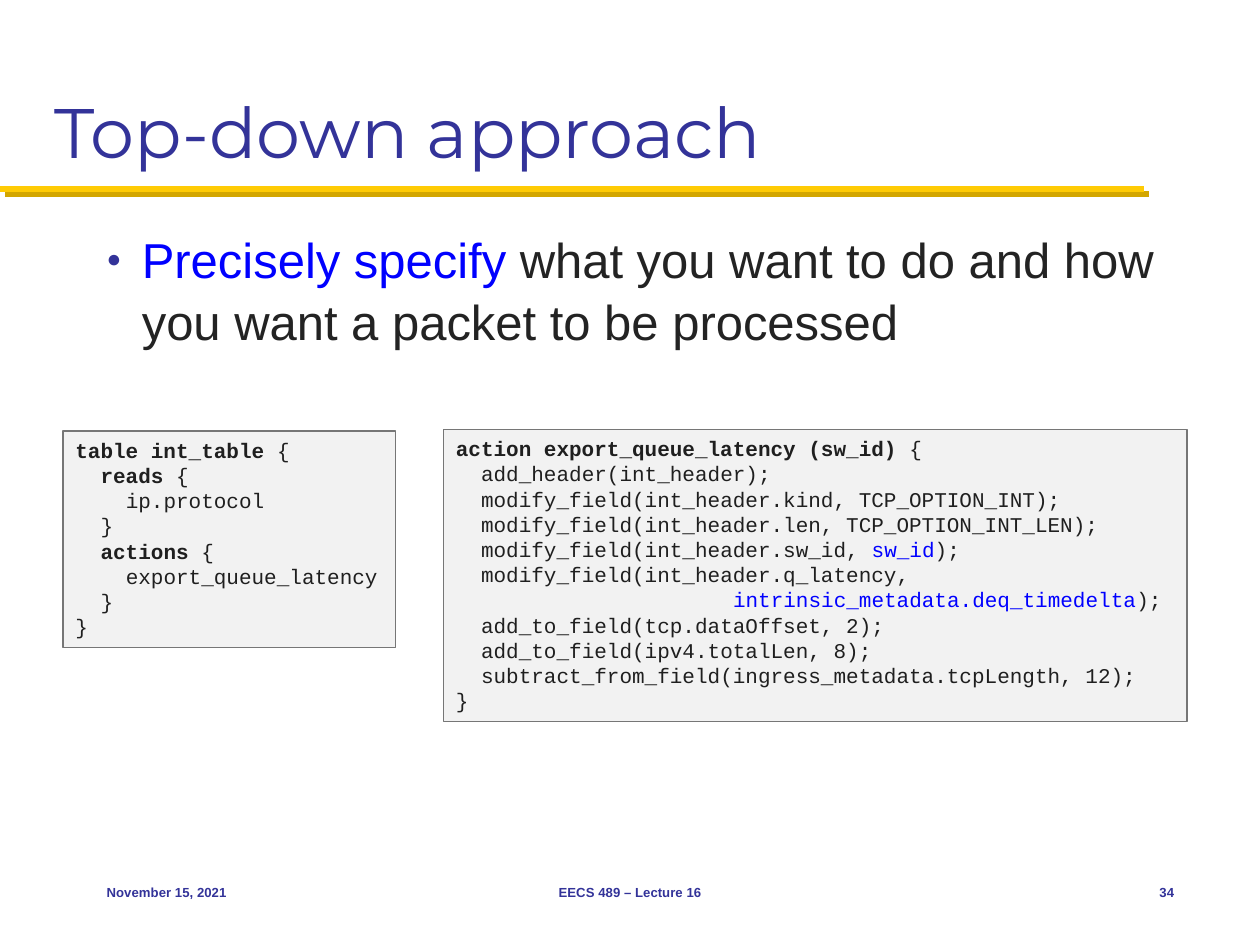
"""Build the slide on the top-down approach with its two code listings."""
from lxml.etree import SubElement
from pptx import Presentation
from pptx.dml.color import RGBColor
from pptx.enum.shapes import MSO_CONNECTOR, MSO_SHAPE
from pptx.enum.text import MSO_ANCHOR, PP_ALIGN
from pptx.oxml.ns import qn
from pptx.util import Cm, Pt

COLORS = {
    "navy": "333399", "blue": "0000FF", "body": "232323", "code": "1F1F1F",
    "panel": "F2F2F2", "border": "767676", "gold": "FFCB05", "shade": "D3A600",
}
PLAIN, BOLD, BLUE = {}, {"bold": True}, {"color": "blue"}
TITLE = [(0, [("Top-down approach", PLAIN)])]
STATEMENT = [(0, [
    ("Precisely specify", BLUE),
    (" what you want to do and how you want a packet to be processed", PLAIN),
])]
FOOTERS = [
    ("November 15, 2021", 1.9, 5.29, PP_ALIGN.LEFT),
    ("EECS 489 – Lecture 16", 8.68, 8.04, PP_ALIGN.CENTER),
    ("34", 22.22, 1.7, PP_ALIGN.RIGHT),
]
TABLE_CODE = [
    (0, [("table int_table ", BOLD), ("{", PLAIN)]),
    (1, [("reads", BOLD), (" {", PLAIN)]),
    (2, [("ip.protocol", PLAIN)]),
    (1, [("}", PLAIN)]),
    (1, [("actions", BOLD), (" {", PLAIN)]),
    (2, [("export_queue_latency", PLAIN)]),
    (1, [("}", PLAIN)]),
    (0, [("}", PLAIN)]),
]
ACTION_CODE = [
    (0, [("action export_queue_latency (sw_id) ", BOLD), ("{", PLAIN)]),
    (1, [("add_header(int_header);", PLAIN)]),
    (1, [("modify_field(int_header.kind, TCP_OPTION_INT);", PLAIN)]),
    (1, [("modify_field(int_header.len, TCP_OPTION_INT_LEN);", PLAIN)]),
    (1, [("modify_field(int_header.sw_id, ", PLAIN), ("sw_id", BLUE), (");", PLAIN)]),
    (1, [("modify_field(int_header.q_latency,", PLAIN)]),
    (11, [("intrinsic_metadata.deq_timedelta", BLUE), (");", PLAIN)]),
    (1, [("add_to_field(tcp.dataOffset, 2);", PLAIN)]),
    (1, [("add_to_field(ipv4.totalLen, 8);", PLAIN)]),
    (1, [("subtract_from_field(ingress_metadata.tcpLength, 12);", PLAIN)]),
    (0, [("}", PLAIN)]),
]
LISTINGS = [
    (TABLE_CODE, (1.27, 8.69, 6.71, 4.37)),
    (ACTION_CODE, (8.94, 8.66, 14.99, 5.89)),
]
INDENT_STEP = Pt(14.4)


def rgb(name):
    return RGBColor.from_string(COLORS[name])


def write(shape, lines, *, size, font="Arial", color="navy", bold=False,
          align=PP_ALIGN.LEFT, anchor=MSO_ANCHOR.TOP):
    frame = shape.text_frame
    frame.word_wrap = True
    frame.vertical_anchor = anchor
    for index, (level, runs) in enumerate(lines):
        paragraph = frame.add_paragraph() if index else frame.paragraphs[0]
        paragraph.alignment = align
        if level:
            paragraph._p.get_or_add_pPr().set("marL", str(level * INDENT_STEP))
        for text, style in runs:
            run = paragraph.add_run()
            run.text = text
            run.font.name = font
            run.font.size = Pt(size)
            run.font.bold = style.get("bold", bold)
            run.font.color.rgb = rgb(style.get("color", color))
    return frame


def add_bullet(paragraph):
    properties = paragraph._p.get_or_add_pPr()
    properties.set("marL", str(Cm(0.71)))
    properties.set("indent", str(-Cm(0.71)))
    bullet_color = SubElement(properties, qn("a:buClr"))
    SubElement(bullet_color, qn("a:srgbClr"), val=COLORS["navy"])
    SubElement(properties, qn("a:buSzPct"), val="50000")
    SubElement(properties, qn("a:buFont"), typeface="Arial")
    SubElement(properties, qn("a:buChar"), char="●")


presentation = Presentation()
presentation.slide_width, presentation.slide_height = Cm(25.4), Cm(19.05)
slide = presentation.slides.add_slide(presentation.slide_layouts[6])
shapes = slide.shapes

rule = shapes.add_connector(MSO_CONNECTOR.STRAIGHT, 0, Cm(3.81), Cm(23.06), Cm(3.81))
rule.line.color.rgb = rgb("gold")
rule.line.width = Pt(3.5)
effects = SubElement(rule._element.spPr, qn("a:effectLst"))
shadow = SubElement(effects, qn("a:outerShdw"), dist=str(Pt(4.2)), dir="2700000",
                    algn="ctr", rotWithShape="0")
SubElement(shadow, qn("a:srgbClr"), val=COLORS["shade"])

title = shapes.add_textbox(Cm(0.84), Cm(0.43), Cm(23.7), Cm(3.18))
write(title, TITLE, size=40, font="Montserrat", anchor=MSO_ANCHOR.BOTTOM)

statement = shapes.add_textbox(Cm(1.9), Cm(4.45), Cm(22.02), Cm(12.27))
paragraph = write(statement, STATEMENT, size=28, color="body").paragraphs[0]
paragraph.line_spacing = 1.05
add_bullet(paragraph)

for text, left, width, align in FOOTERS:
    footer = shapes.add_textbox(Cm(left), Cm(17.35), Cm(width), Cm(1.27))
    frame = write(footer, [(0, [(text, PLAIN)])], size=7.5, bold=True,
                  align=align, anchor=MSO_ANCHOR.MIDDLE)
    frame.paragraphs[0].space_after = Pt(6)

for code, box in LISTINGS:
    panel = shapes.add_shape(MSO_SHAPE.RECTANGLE, *map(Cm, box))
    panel.shadow.inherit = False
    panel.fill.solid()
    panel.fill.fore_color.rgb = rgb("panel")
    panel.line.color.rgb = rgb("border")
    panel.line.width = Pt(0.75)
    write(panel, code, size=12, font="Courier New", color="code")

presentation.save("out.pptx")
